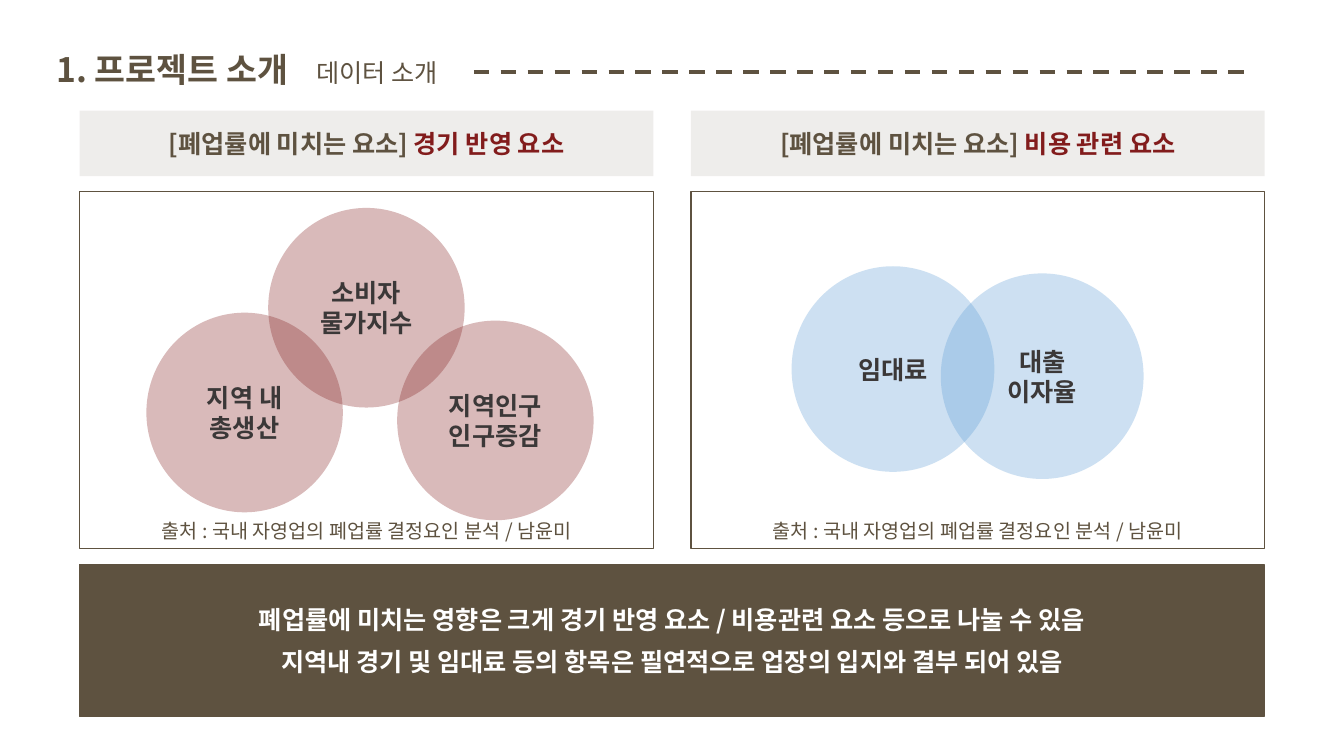
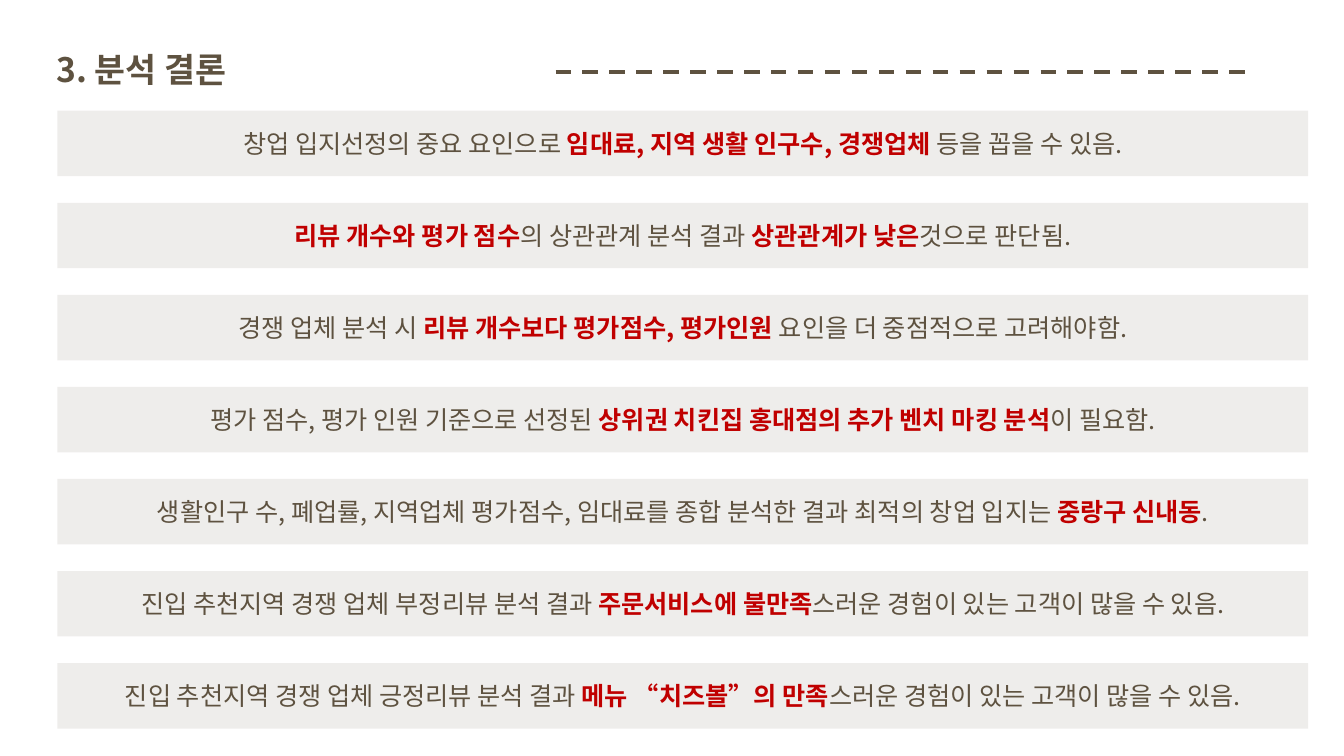
from lxml import etree
from pptx import Presentation
from pptx import util as u
from pptx.dml.color import RGBColor
from pptx.enum import dml, shapes, text
from pptx.oxml.ns import qn

FONT = "Noto Sans CJK KR"
COLORS = {
    "brown": "5E5240",
    "maroon": "821C1C",
    "red": "C00000",
    "blue": "5B9BD5",
    "charcoal": "3B3838",
    "white": "FFFFFF",
}
STYLES = {
    "title": {"size": u.Pt(24), "bold": True, "color": "brown"},
    "subtitle": {"size": u.Pt(18), "bold": False, "color": "brown"},
    "strong": {"size": u.Pt(18), "bold": True, "color": "brown"},
    "factor": {"size": u.Pt(18), "bold": True, "color": "maroon"},
    "key": {"size": u.Pt(18), "bold": True, "color": "red"},
    "circle": {"size": u.Pt(18), "bold": True, "color": "charcoal"},
    "banner": {"size": u.Pt(18), "bold": True, "color": "white"},
    "source": {"size": u.Pt(14), "bold": False, "color": "brown"},
}
TITLE_BOX = (1.17, 0.81, 20.02, 1.98)
SUBTITLE_TAB = 6.54
RULE_Y, RULE_END = 1.81, 31.55
BAR_TOP, BAR_HEIGHT = 2.79, 1.65
SOURCE = "출처 : 국내 자영업의 폐업률 결정요인 분석 / 남윤미"

FACTOR_COLUMNS = [
    {
        "heading": "[폐업률에 미치는 요소] *경기 반영 요소",
        "color": "maroon",
        "size": (4.95, 5.03),
        "circles": [
            (1.68, 3.05, "지역 내\n총생산"),
            (8.0, 3.25, "지역인구\n인구증감"),
            (4.75, 0.41, "소비자\n물가지수"),
        ],
    },
    {
        "heading": "[폐업률에 미치는 요소] *비용 관련 요소",
        "color": "blue",
        "size": (5.11, 5.18),
        "circles": [(2.54, 1.88, "임대료"), (6.3, 2.06, "대출\n이자율")],
    },
]
SUMMARY = (
    "폐업률에 미치는 영향은 크게 경기 반영 요소 / 비용관련 요소 등으로 나눌 수 있음\n"
    "지역내 경기 및 임대료 등의 항목은 필연적으로 업장의 입지와 결부 되어 있음"
)
CONCLUSIONS = [
    "창업 입지선정의 중요 요인으로 *임대료, 지역 생활 인구수, 경쟁업체 *등을 꼽을 수 있음.",
    "*리뷰 개수와 평가 점수*의 상관관계 분석 결과 *상관관계가 낮은*것으로 판단됨.",
    "경쟁 업체 분석 시 *리뷰 개수보다 평가점수, 평가인원 *요인을 더 중점적으로 고려해야함.",
    "평가 점수, 평가 인원 기준으로 선정된 *상위권 치킨집 홍대점의 추가 벤치 마킹 분석*이 필요함.",
    "생활인구 수, 폐업률, 지역업체 평가점수, 임대료를 종합 분석한 결과 "
    "최적의 창업 입지는 *중랑구 신내동*.",
    "진입 추천지역 경쟁 업체 부정리뷰 분석 결과 *주문서비스에 불만족*스러운 경험이 있는 고객이 많을 수 있음.",
    "진입 추천지역 경쟁 업체 긍정리뷰 분석 결과 *메뉴 “치즈볼”의 만족*스러운 경험이 있는 고객이 많을 수 있음.",
]


def rgb(name):
    return RGBColor.from_string(COLORS[name])


def cm_box(box):
    return [u.Cm(round(length, 2)) for length in box]


def add_run(paragraph, words, style):
    run = paragraph.add_run()
    run.text = words
    for name, value in STYLES[style].items():
        if name == "color":
            run.font.color.rgb = rgb(value)
        else:
            setattr(run.font, name, value)
    run.font.name = FONT
    east_asian = etree.Element(qn("a:ea"), typeface=FONT)
    run.font._element.find(qn("a:latin")).addnext(east_asian)


def write(shape, words, style, accent=None, **paragraph_format):
    """Fill a shape with centred lines; asterisks switch between style and accent."""
    frame = shape.text_frame
    frame.word_wrap = True
    frame.vertical_anchor = text.MSO_ANCHOR.MIDDLE
    for index, line in enumerate(words.split("\n")):
        paragraph = frame.add_paragraph() if index else frame.paragraphs[0]
        paragraph.alignment = text.PP_ALIGN.CENTER
        for name, value in paragraph_format.items():
            if index or name != "space_before":
                setattr(paragraph, name, value)
        for position, part in enumerate(line.split("*")):
            if part:
                add_run(paragraph, part, accent if position % 2 else style)


def add_block(slide, box, fill=None, opacity=100, line=None, kind="RECTANGLE"):
    shape = slide.shapes.add_shape(getattr(shapes.MSO_SHAPE, kind), *cm_box(box))
    shape.shadow.inherit = False
    if fill:
        shape.fill.solid()
        shape.fill.fore_color.rgb = rgb(fill)
        if opacity < 100:
            color = shape.fill._xPr.find(".//" + qn("a:srgbClr"))
            etree.SubElement(color, qn("a:alpha"), val=str(opacity * 1000))
    else:
        shape.fill.background()
    if line:
        shape.line.color.rgb = rgb(line)
        shape.line.width = u.Pt(1)
    else:
        shape.line.fill.background()
    return shape


def add_titled_slide(presentation, title, rule_start, subtitle=None):
    slide = presentation.slides.add_slide(presentation.slide_layouts[5])
    placeholder = slide.shapes.title
    for name, value in zip(("left", "top", "width", "height"), cm_box(TITLE_BOX)):
        setattr(placeholder, name, value)
    frame = placeholder.text_frame
    frame.auto_size = text.MSO_AUTO_SIZE.NONE
    frame.vertical_anchor = text.MSO_ANCHOR.MIDDLE
    paragraph = frame.paragraphs[0]
    paragraph.alignment = text.PP_ALIGN.LEFT
    paragraph.line_spacing = 0.9
    add_run(paragraph, title, "title")
    if subtitle:
        tabs = etree.SubElement(paragraph._p.get_or_add_pPr(), qn("a:tabLst"))
        etree.SubElement(tabs, qn("a:tab"), pos=str(u.Cm(SUBTITLE_TAB)), algn="l")
        add_run(paragraph, "\t" + subtitle, "subtitle")

    ends = cm_box((rule_start, RULE_Y, RULE_END, RULE_Y))
    rule = slide.shapes.add_connector(shapes.MSO_CONNECTOR.STRAIGHT, *ends)
    rule.line.color.rgb = rgb("brown")
    rule.line.width = u.Pt(2.75)
    rule.line.dash_style = dml.MSO_LINE.DASH
    etree.SubElement(rule._element.spPr, qn("a:effectLst"))
    return slide


def add_bar(slide, left, top, width, words, style, accent):
    bar = add_block(slide, (left, top, width, BAR_HEIGHT), "brown", opacity=10)
    write(bar, words, style, accent)


def add_factor_column(slide, left, top, width, column):
    """Heading bar above a framed panel of overlapping circles and its source."""
    add_bar(slide, left, top, width, column["heading"], "strong", "factor")
    panel_top, panel_height, source_height = top + 2.04, 8.99, 0.87
    add_block(slide, (left, panel_top, width, panel_height), line="brown")

    source_box = (left, panel_top + 8.1, width, source_height)
    source = slide.shapes.add_textbox(*cm_box(source_box))
    write(source, SOURCE, "source")
    source.text_frame.margin_top = source.text_frame.margin_bottom = 0

    for x, y, label in column["circles"]:
        box = (left + x, panel_top + y, *column["size"])
        circle = add_block(slide, box, column["color"], opacity=30, kind="OVAL")
        write(circle, label, "circle", line_spacing=u.Pt(21.5))


def build_factors_slide(presentation):
    slide = add_titled_slide(presentation, "1. 프로젝트 소개", 11.94, "데이터 소개")
    left, total_width, gap = 2.01, 29.85, 0.94
    width = (total_width - gap) / 2
    for index, column in enumerate(FACTOR_COLUMNS):
        add_factor_column(slide, left + index * (width + gap), BAR_TOP, width, column)
    banner = add_block(slide, (left, 14.22, total_width, 3.84), "brown", line="brown")
    write(banner, SUMMARY, "banner", space_before=u.Pt(8.5))


def build_conclusions_slide(presentation):
    slide = add_titled_slide(presentation, "3. 분석 결론", 14)
    left, width, pitch = 1.45, 31.52, 2.32
    for index, words in enumerate(CONCLUSIONS):
        add_bar(slide, left, BAR_TOP + index * pitch, width, words, "subtitle", "key")


def main():
    presentation = Presentation()
    presentation.slide_width, presentation.slide_height = u.Cm(33.87), u.Cm(19.05)
    build_factors_slide(presentation)
    build_conclusions_slide(presentation)
    presentation.save("out.pptx")


if __name__ == "__main__":
    main()
